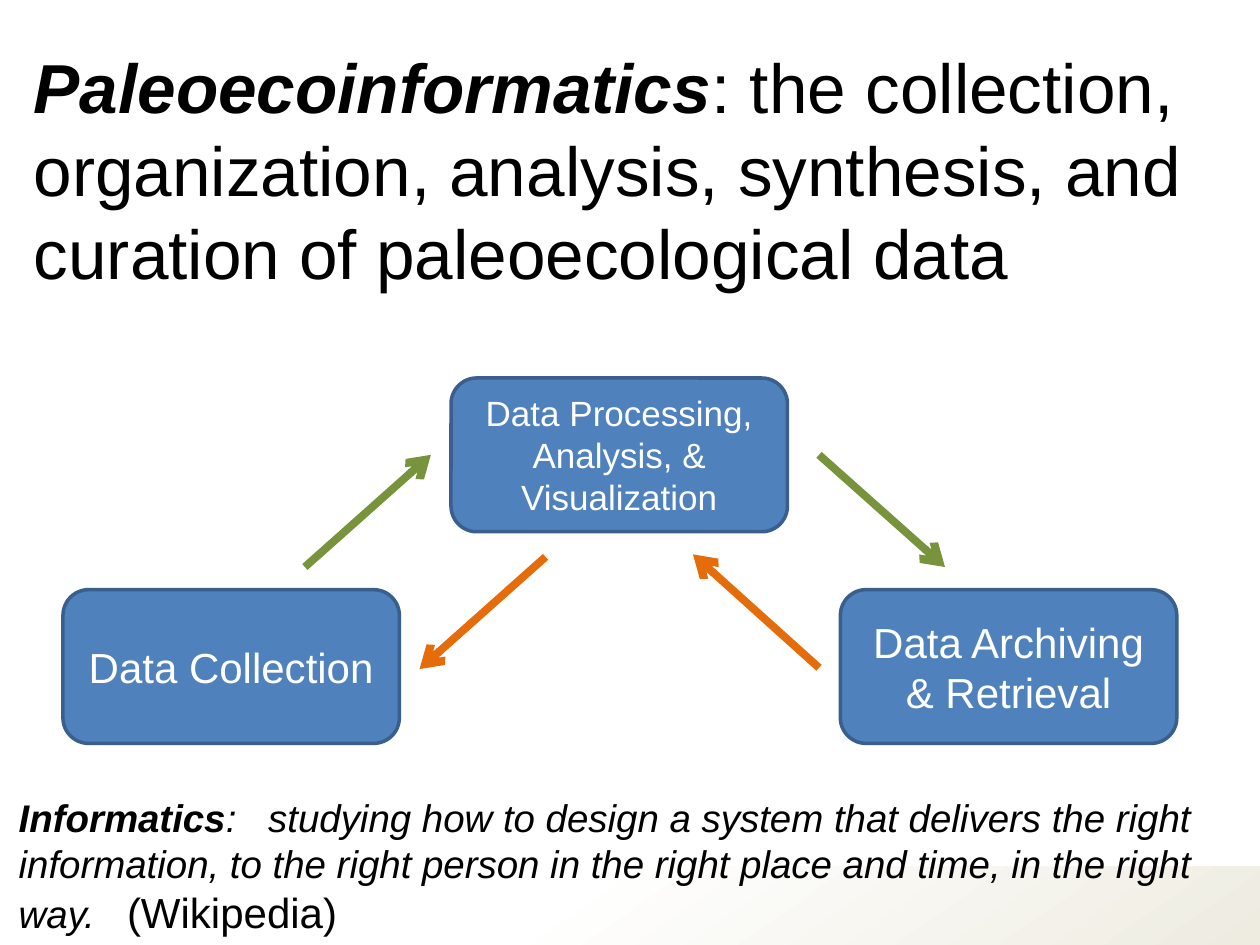
from typing import NamedTuple

from lxml import etree
from pptx import Presentation
from pptx.dml.color import RGBColor
from pptx.enum.shapes import MSO_CONNECTOR, MSO_SHAPE
from pptx.enum.text import MSO_ANCHOR, PP_ALIGN
from pptx.oxml.ns import qn
from pptx.util import Inches, Pt

FONT = "Arial"
BLACK = RGBColor(0x00, 0x00, 0x00)
WHITE = RGBColor(0xFF, 0xFF, 0xFF)
CREAM = RGBColor(0xEE, 0xEC, 0xE1)
BLUE = RGBColor(0x4F, 0x81, 0xBD)
DARK_BLUE = RGBColor(0x3A, 0x5F, 0x8C)
GREEN = RGBColor(0x77, 0x93, 0x3C)
ORANGE = RGBColor(0xE4, 0x6C, 0x0A)

BOX_WIDTH, BOX_HEIGHT = 2.67, 1.22


class Run(NamedTuple):
    text: str
    size: float
    bold: bool = False
    italic: bool = False


class Stage(NamedTuple):
    label: str
    left: float
    top: float
    size: float


class Arrow(NamedTuple):
    start: tuple[float, float]
    end: tuple[float, float]
    color: RGBColor


TITLE = [
    Run("Paleoecoinformatics", 39.6, bold=True, italic=True),
    Run(": the collection, organization, analysis, synthesis, and curation of "
        "paleoecological data", 39.6),
]
DEFINITION = [
    Run("Informatics", 22, bold=True, italic=True),
    Run(":\tstudying how to design a system that delivers the right information, "
        "to the right person in the right place and time, in the right way.\t",
        22, italic=True),
    Run("(Wikipedia)", 24),
]
DEFINITION_TABS = [0.86, 1.98]
STAGES = [
    Stage("Data Collection", 0.5, 4.68, 24),
    Stage("Data Archiving & Retrieval", 6.67, 4.68, 24),
    Stage("Data Processing, Analysis, & Visualization", 3.58, 3, 20),
]
ARROWS = [
    Arrow((6.5, 3.61), (7.5, 4.5), GREEN),
    Arrow((2.42, 4.5), (3.42, 3.61), GREEN),
    Arrow((6.5, 5.3), (5.5, 4.4), ORANGE),
    Arrow((4.33, 4.42), (3.33, 5.31), ORANGE),
]


def add_runs(paragraph, runs: list[Run], color: RGBColor) -> None:
    for item in runs:
        run = paragraph.add_run()
        run.text = item.text
        font = run.font
        font.name, font.size = FONT, Pt(item.size)
        font.bold, font.italic = item.bold, item.italic
        font.color.rgb = color


def add_tab_stops(paragraph, positions: list[float]) -> None:
    tabs = etree.SubElement(paragraph._p.get_or_add_pPr(), qn("a:tabLst"))
    for position in positions:
        etree.SubElement(tabs, qn("a:tab"), pos=str(Inches(position)), algn="l")


def add_text(slide, left: float, top: float, width: float, height: float,
             runs: list[Run], tab_stops: list[float]) -> None:
    box = slide.shapes.add_textbox(
        Inches(left), Inches(top), Inches(width), Inches(height))
    box.text_frame.word_wrap = True
    paragraph = box.text_frame.paragraphs[0]
    if tab_stops:
        add_tab_stops(paragraph, tab_stops)
    add_runs(paragraph, runs, BLACK)


def add_footer_band(slide) -> None:
    band = slide.shapes.add_shape(
        MSO_SHAPE.RECTANGLE, 0, Inches(6.88), Inches(10), Inches(0.62))
    band.shadow.inherit = False
    band.line.fill.background()
    band.fill.gradient()
    band.fill.gradient_angle = 305
    stops = [(0.43, WHITE), (1, CREAM)]
    for stop, (position, color) in zip(band.fill.gradient_stops, stops):
        stop.position = position
        stop.color.rgb = color


def add_stage(slide, stage: Stage) -> None:
    shape = slide.shapes.add_shape(
        MSO_SHAPE.ROUNDED_RECTANGLE, Inches(stage.left), Inches(stage.top),
        Inches(BOX_WIDTH), Inches(BOX_HEIGHT))
    shape.shadow.inherit = False
    shape.fill.solid()
    shape.fill.fore_color.rgb = BLUE
    shape.line.color.rgb = DARK_BLUE
    shape.line.width = Pt(2)
    frame = shape.text_frame
    frame.word_wrap = True
    frame.vertical_anchor = MSO_ANCHOR.MIDDLE
    paragraph = frame.paragraphs[0]
    paragraph.alignment = PP_ALIGN.CENTER
    add_runs(paragraph, [Run(stage.label, stage.size)], WHITE)


def add_arrow(slide, arrow: Arrow) -> None:
    points = [Inches(value) for value in arrow.start + arrow.end]
    connector = slide.shapes.add_connector(MSO_CONNECTOR.STRAIGHT, *points)
    connector.line.color.rgb = arrow.color
    connector.line.width = Pt(4.5)
    etree.SubElement(connector.line._get_or_add_ln(), qn("a:tailEnd"), type="arrow")
    etree.SubElement(connector._element.spPr, qn("a:effectLst"))


def main() -> None:
    presentation = Presentation()
    presentation.slide_width = Inches(10)
    presentation.slide_height = Inches(7.5)
    slide = presentation.slides.add_slide(presentation.slide_layouts[6])

    add_footer_band(slide)
    add_text(slide, 0.17, 0.3, 9.67, 1.87, TITLE, [])
    for stage in STAGES:
        add_stage(slide, stage)
    for arrow in ARROWS:
        add_arrow(slide, arrow)
    add_text(slide, 0.05, 6.25, 9.95, 1.14, DEFINITION, DEFINITION_TABS)

    presentation.save("out.pptx")


if __name__ == "__main__":
    main()
